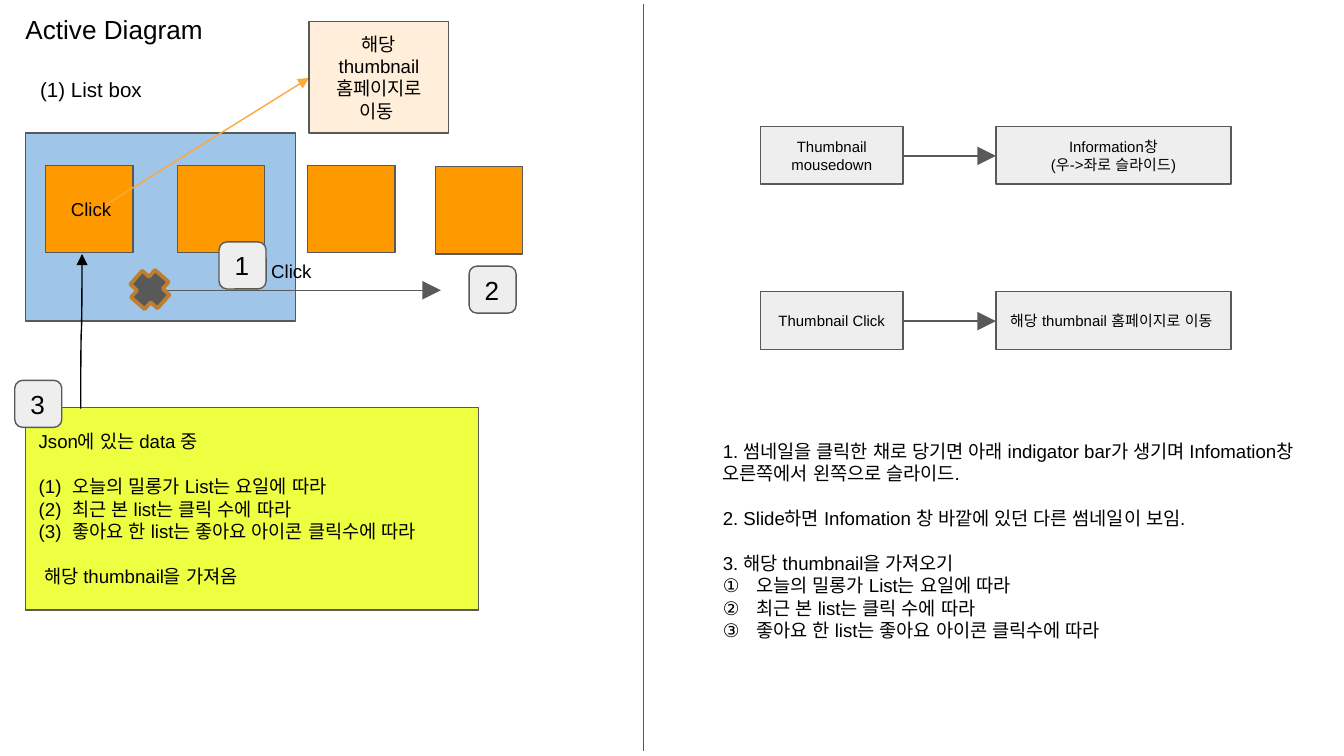
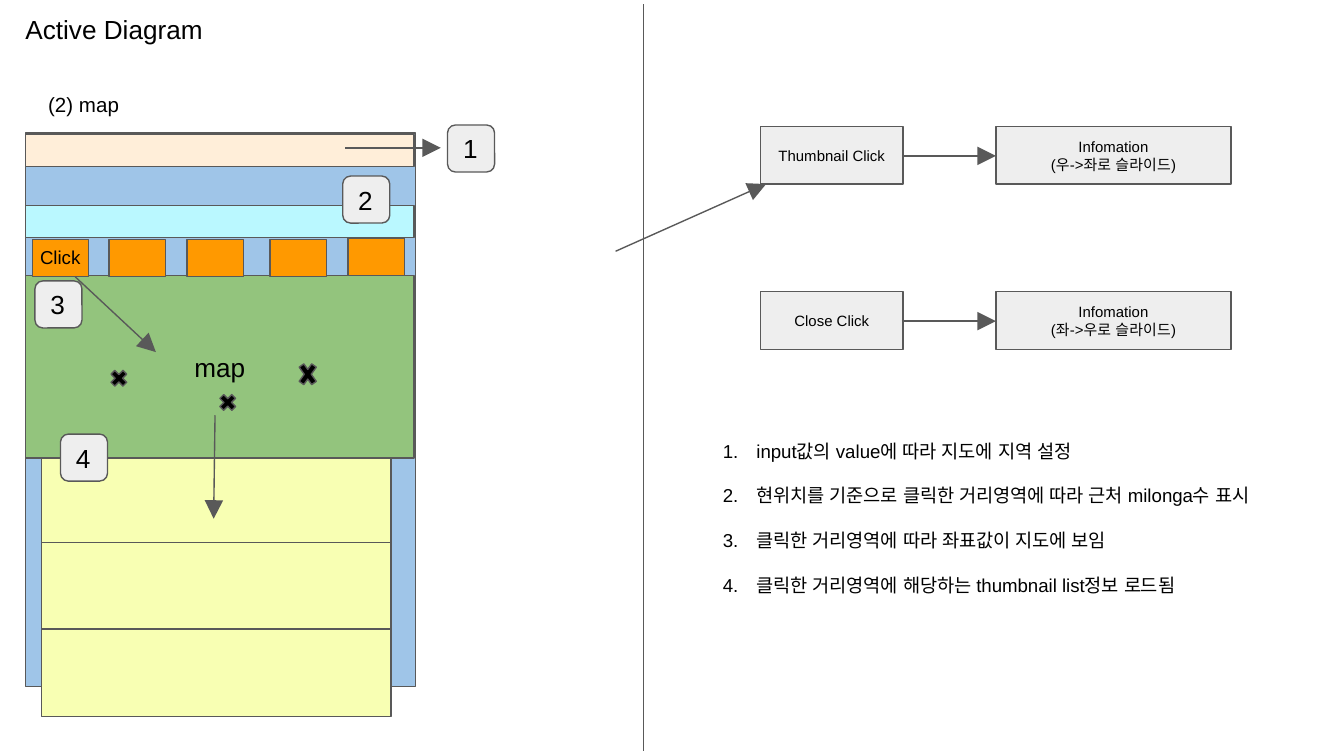
from lxml import etree
from pptx import Presentation
from pptx.dml.color import RGBColor
from pptx.enum.lang import MSO_LANGUAGE_ID
from pptx.enum.shapes import MSO_CONNECTOR, MSO_SHAPE
from pptx.enum.text import MSO_ANCHOR, PP_ALIGN
from pptx.oxml.ns import qn
from pptx.util import Inches, Pt

STRAIGHT, CURVE = MSO_CONNECTOR.STRAIGHT, MSO_CONNECTOR.CURVE
RECT, ROUNDED = MSO_SHAPE.RECTANGLE, MSO_SHAPE.ROUNDED_RECTANGLE
CROSS, MULTIPLY = MSO_SHAPE.CROSS, MSO_SHAPE.MATH_MULTIPLY
TOP, MIDDLE = MSO_ANCHOR.TOP, MSO_ANCHOR.MIDDLE
LEFT, CENTER = PP_ALIGN.LEFT, PP_ALIGN.CENTER
KOREAN = MSO_LANGUAGE_ID.KOREAN

FONT = "Arial"
COLORS = {
    "ink": "000000", "outline": "595959", "panel": "9FC5E8", "step": "EEEEEE",
    "thumbnail": "FF9900", "note": "EEFF41", "peach": "FFEED9", "cyan": "BAF8FF",
    "map": "93C47D", "row": "F8FFB3", "link": "FEA83A", "handle": "BD7F2F",
}
TITLE = "Active Diagram"
SORT_RULES = [
    "오늘의 밀롱가 List는 요일에 따라",
    "최근 본 list는 클릭 수에 따라",
    "좋아요 한 list는 좋아요 아이콘 클릭수에 따라",
]
OPEN_HOMEPAGE = "해당 thumbnail 홈페이지로 이동 "

LIST_BOX = {
    "heading": ("(1) List box", 0.2, 0.48),
    "flows": [
        (["Thumbnail mousedown"], ["Information창", "(우->좌로 슬라이드)"]),
        (["Thumbnail Click"], [OPEN_HOMEPAGE]),
    ],
    "remarks": [
        ("1. 썸네일을 클릭한 채로 당기면 아래 indigator bar가 생기며 "
         "Infomation창 오른쪽에서 왼쪽으로 슬라이드.", None, 0),
        ("2. Slide하면 Infomation 창 바깥에 있던 다른 썸네일이 보임.", None, 12),
        ("3. 해당 thumbnail을 가져오기", None, 12),
        *[(rule, "circleNumDbPlain", 0) for rule in SORT_RULES],
    ],
    "note": [
        ("Json에 있는 data 중", None, 0),
        *[(rule, "arabicParenBoth", 0 if i else 12) for i, rule in enumerate(SORT_RULES)],
        ("해당 thumbnail을 가져옴", None, 12),
    ],
    "thumbnails": [(0.34, 1.23), (1.32, 1.23), (2.29, 1.23), (3.24, 1.24)],
    "badges": [(1.63, 1.8), (3.49, 1.98), (0.11, 2.83)],
    "clicks": [(0.43, 1.38), (1.92, 1.84)],
}
MAP = {
    "heading": ("(2) map", 0.26, 0.59),
    "flows": [
        (["Thumbnail Click"], ["Infomation", "(우->좌로 슬라이드)"]),
        (["Close Click"], ["Infomation", "(좌->우로 슬라이드)"]),
    ],
    "remarks": [
        (text, "arabicPeriod", 12 if i else 0) for i, text in enumerate([
            "input값의 value에 따라 지도에 지역 설정",
            "현위치를 기준으로 클릭한 거리영역에 따라 근처 milonga수 표시",
            "클릭한 거리영역에 따라 좌표값이 지도에 보임",
            "클릭한 거리영역에 해당하는 thumbnail list정보 로드됨",
        ])
    ],
    "thumbnails": [(0.24, 1.78), (0.81, 1.78), (1.39, 1.78), (2.01, 1.78), (2.59, 1.77)],
    "markers": [(0.8, 2.73, 0.17, 0.17), (1.61, 2.91, 0.17, 0.17), (2.2, 2.66, 0.18, 0.25)],
    "badges": [(3.33, 0.93), (2.55, 1.31), (0.26, 2.09), (0.45, 3.23)],
    "arrows": [
        ((0.56, 2.06), (1.16, 2.62)),
        ((1.6, 3.09), (1.59, 3.86)),
        ((2.57, 1.1), (3.28, 1.1)),
    ],
}


def color(name):
    return RGBColor.from_string(COLORS[name])


def write(shape, lines, size, align=LEFT, anchor=MIDDLE):
    frame = shape.text_frame
    frame.word_wrap = True
    frame.vertical_anchor = anchor
    frame.margin_left = frame.margin_right = Inches(0.1)
    frame.margin_top = frame.margin_bottom = Inches(0.1)
    for i, line in enumerate(lines):
        text, numbering, gap = (line, None, 0) if isinstance(line, str) else line
        paragraph = frame.add_paragraph() if i else frame.paragraphs[0]
        paragraph.text = text
        paragraph.alignment = align
        paragraph.space_before = Pt(gap)
        props = paragraph._p.get_or_add_pPr()
        if numbering:
            props.set("marL", str(Inches(0.25)))
            props.set("indent", str(-Inches(0.25)))
            bullet_color = etree.SubElement(props, qn("a:buClr"))
            etree.SubElement(bullet_color, qn("a:srgbClr"), val=COLORS["ink"])
            etree.SubElement(props, qn("a:buAutoNum"), type=numbering)
        paragraph.font.name = FONT
        paragraph.font.size = Pt(size)
        paragraph.font.color.rgb = color("ink")
        paragraph.font.language_id = KOREAN
        etree.SubElement(props.find(qn("a:defRPr")), qn("a:ea"), typeface=FONT)


def label(shapes, box, lines, size, anchor=MIDDLE):
    write(shapes.add_textbox(*map(Inches, box)), lines, size, anchor=anchor)


def block(shapes, box, fill, lines=(), size=10, align=CENTER, kind=RECT,
          outline="outline", weight=0.75):
    shape = shapes.add_shape(kind, *map(Inches, box))
    shape.shadow.inherit = False
    shape.fill.solid()
    shape.fill.fore_color.rgb = color(fill)
    shape.line.color.rgb = color(outline)
    shape.line.width = Pt(weight)
    if lines:
        write(shape, lines, size, align)
    return shape


def connect(shapes, start, end, stroke="outline", head="lg", kind=STRAIGHT):
    line = shapes.add_connector(kind, *map(Inches, (*start, *end)))
    line.line.color.rgb = color(stroke)
    line.line.width = Pt(0.75)
    if head:
        etree.SubElement(line.line._get_or_add_ln(), qn("a:tailEnd"),
                         type="triangle", w=head, len=head)
    etree.SubElement(line._element.spPr, qn("a:effectLst"))
    return line


def badge(shapes, number, place):
    block(shapes, (*place, 0.35, 0.35), "step", [str(number)], 14, LEFT, ROUNDED)


def start_slide(deck, content):
    shapes = deck.slides.add_slide(deck.slide_layouts[6]).shapes
    heading, left, top = content["heading"]
    label(shapes, (0.09, 0, 3.52, 0.35), [TITLE], 14, TOP)
    label(shapes, (left, top, 2.47, 0.35), [heading], 11, TOP)
    label(shapes, (5.28, 3.17, 4.72, 1.87), content["remarks"], 10, TOP)
    connect(shapes, (4.79, 0.03), (4.79, 5.59), head=None)
    for i, (trigger, result) in enumerate(content["flows"]):
        y = 0.94 + 1.23 * i
        block(shapes, (5.66, y, 1.06, 0.43), "step", trigger, 8)
        block(shapes, (7.41, y, 1.75, 0.43), "step", result, 8)
        connect(shapes, (6.71, y + 0.22), (7.41, y + 0.22))
    return shapes


def draw_list_box(deck):
    shapes = start_slide(deck, LIST_BOX)
    block(shapes, (0.19, 0.99, 2.01, 1.4), "panel")
    for place in LIST_BOX["thumbnails"]:
        block(shapes, (*place, 0.65, 0.65), "thumbnail")
    note = block(shapes, (0.19, 3.03, 3.37, 1.51), "note", LIST_BOX["note"], 10, LEFT)
    note.text_frame.paragraphs[-1]._p.get_or_add_pPr().set("marL", str(Inches(0.04)))
    connect(shapes, (1.11, 2.16), (3.28, 2.16))
    connect(shapes, (0.68, 1.59), (2.3, 0.58), "link", "med")
    for place in LIST_BOX["clicks"]:
        label(shapes, (*place, 1.06, 0.35), ["Click"], 10)
    handle = block(shapes, (0.98, 2.02, 0.27, 0.27), "outline", kind=CROSS,
                   outline="handle", weight=2)
    handle.rotation = 41.4
    curve = connect(shapes, (1.18, 2.47), (0.03, 2.46), "ink", "med", CURVE)
    curve._element.spPr.find(qn("a:xfrm")).set("rot", str(90 * 60000))
    block(shapes, (2.3, 0.16, 1.04, 0.83), "peach", [OPEN_HOMEPAGE])
    for number, place in enumerate(LIST_BOX["badges"], 1):
        badge(shapes, number, place)


def draw_map(deck):
    shapes = start_slide(deck, MAP)
    block(shapes, (0.19, 0.99, 2.9, 1.87), "panel")
    block(shapes, (0.19, 1.53, 2.89, 0.24), "cyan")
    block(shapes, (0.19, 2.86, 2.9, 2.25), "panel")
    connect(shapes, (4.58, 1.87), (5.7, 1.37))
    screen = shapes.add_group_shape().shapes
    for i in range(3):
        block(screen, (0.31, 3.39 + 0.645 * i, 2.6, 0.65), "row")
        if i == 0:
            block(screen, (0.19, 2.05, 2.89, 1.36), "map", ["map"], 14)
    for place in MAP["thumbnails"]:
        block(screen, (*place, 0.42, 0.28), "thumbnail")
    for box in MAP["markers"]:
        block(screen, box, "ink", kind=MULTIPLY)
    *early, last = enumerate(MAP["badges"], 1)
    for number, place in early:
        badge(shapes, number, place)
    block(shapes, (0.19, 1, 2.89, 0.24), "peach")
    label(shapes, (0.2, 1.74, 1.06, 0.35), ["Click"], 10)
    for start, end in MAP["arrows"]:
        connect(shapes, start, end)
    badge(shapes, *last)


def main():
    """Build the two activity diagram slides."""
    deck = Presentation()
    deck.slide_width = Inches(10)
    deck.slide_height = deck.slide_width * 9 // 16
    draw_list_box(deck)
    draw_map(deck)
    deck.save("out.pptx")


if __name__ == "__main__":
    main()
